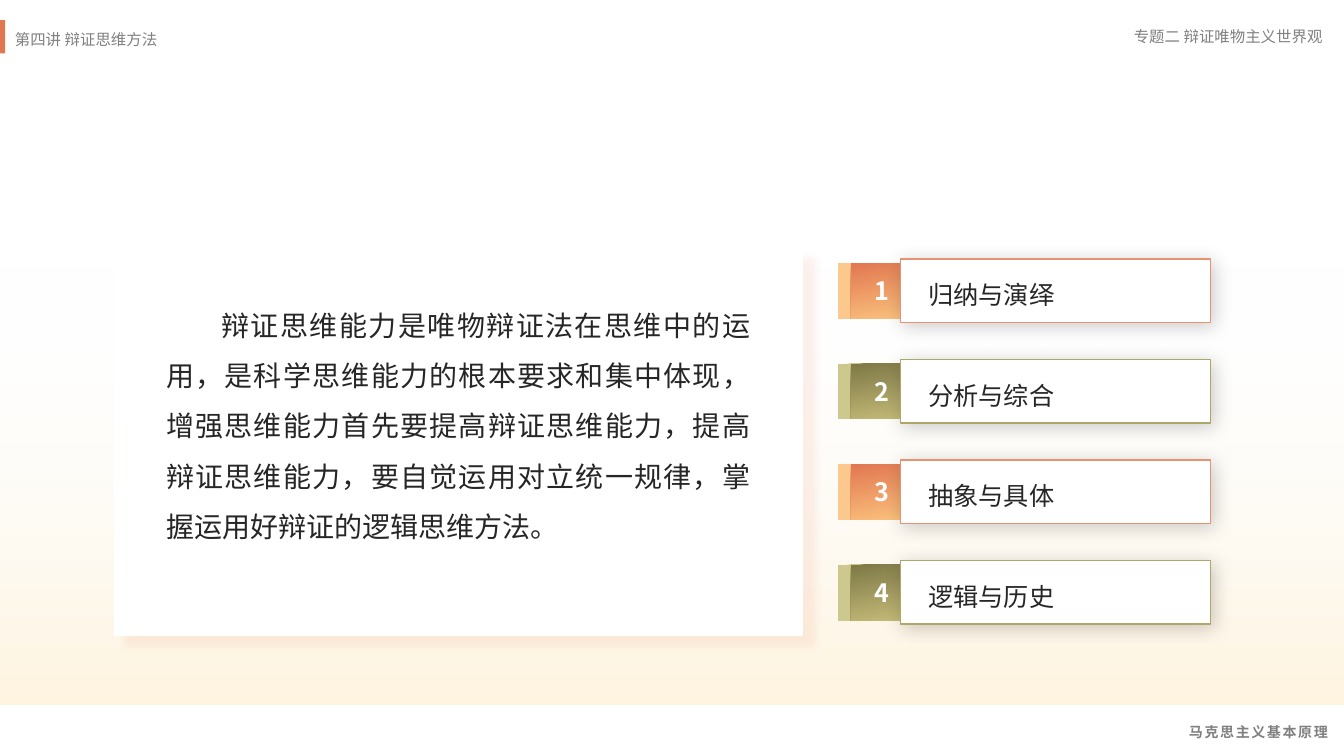
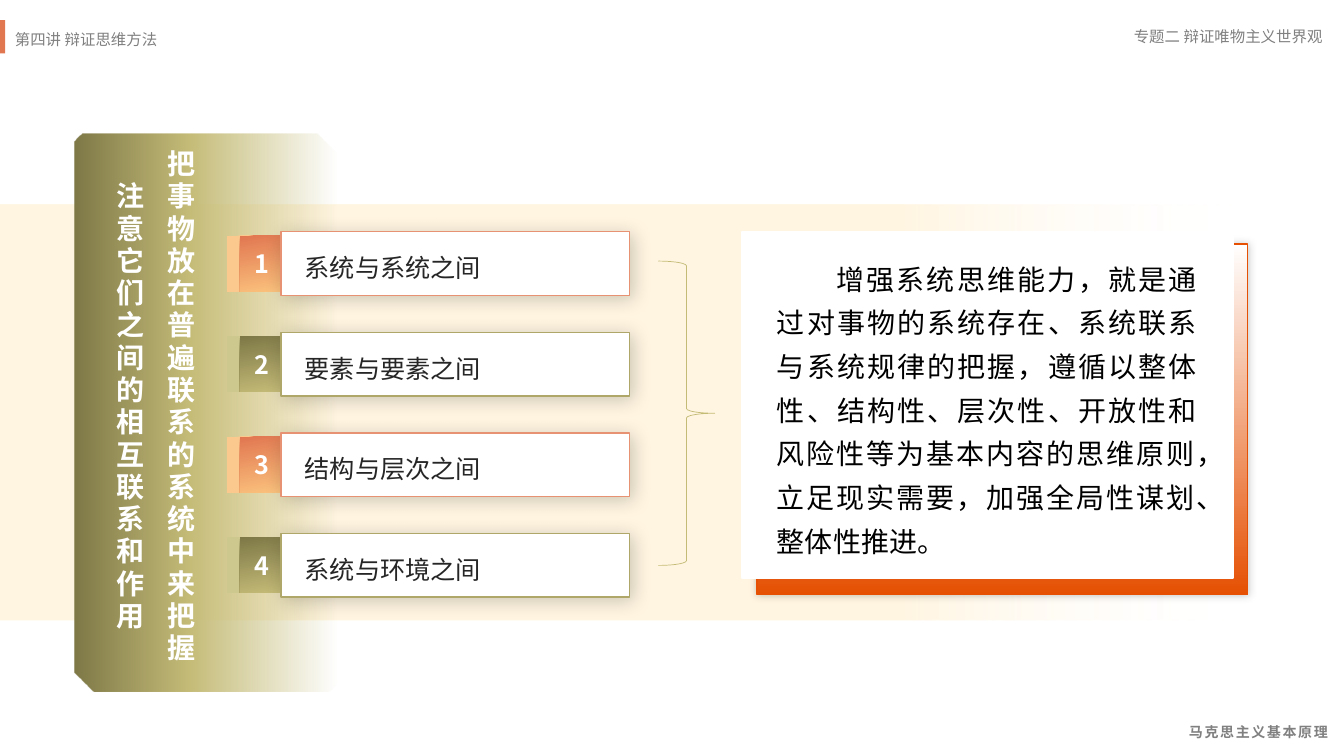
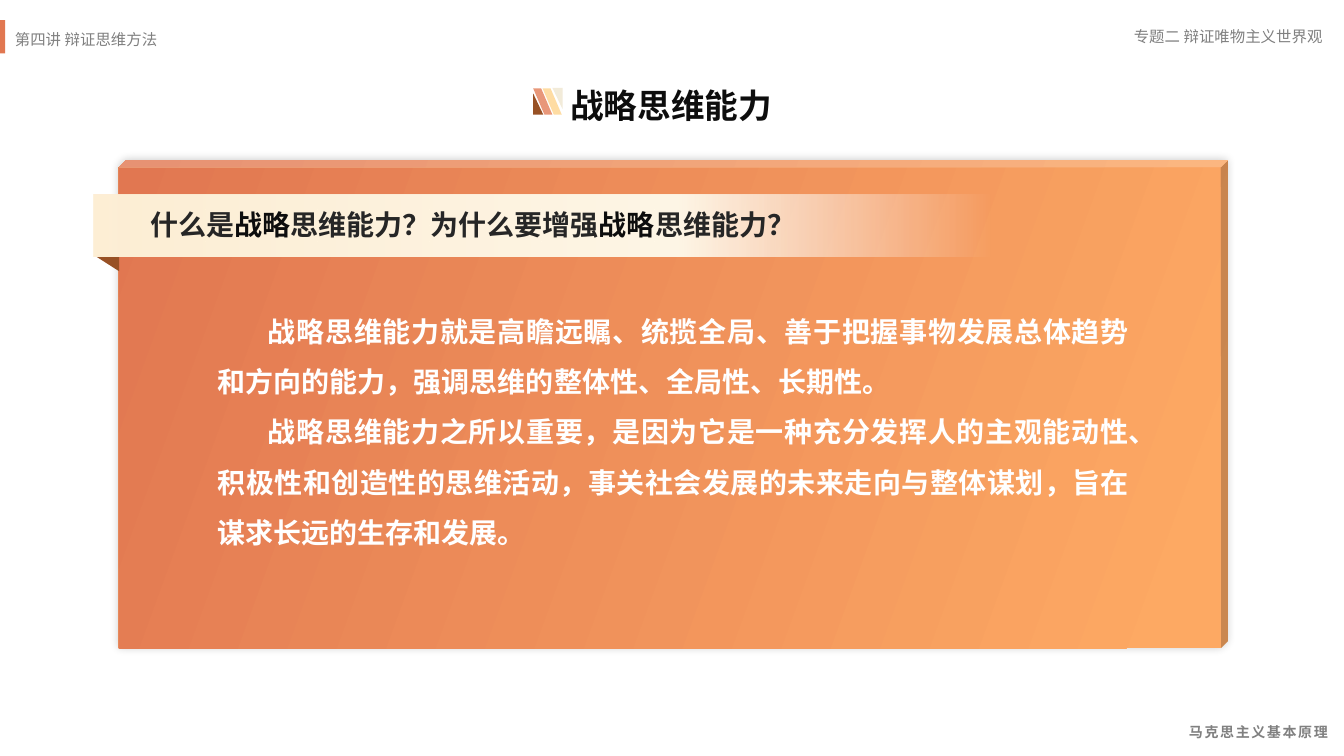
import pptx
import pptx.util
import pptx.dml.color
import pptx.enum.shapes
import pptx.enum.text
import pptx.oxml.ns
from lxml import etree

Pt = pptx.util.Pt
qn = pptx.oxml.ns.qn
KIND = pptx.enum.shapes.MSO_SHAPE
ALIGN = pptx.enum.text.PP_ALIGN
FONT = "Noto Sans CJK SC"
HUES = {
    "white": "FFFFFF", "black": "000000", "ink": "262626", "dark": "0D0D0D",
    "gray": "808080", "coral": "E17751", "gold": "FBC27D", "peach": "FBC88D",
    "rose": "E79273", "olive": "7E7847", "khaki": "C5BC78", "moss": "AFA769",
    "sage": "CDC88D", "brace": "C4BB77", "cream": "FFF5E1", "flame": "E55003",
    "amber": "FDA963", "sand": "FEEFD5", "ivory": "FFF7E7", "brown": "985125",
    "honey": "FEDCA3", "blush": "E89779", "bone": "F2EBD9",
}
# gradient start, gradient end, tab edge, card line
TONES = [("coral", "gold", "peach", "rose"), ("olive", "khaki", "sage", "moss")]


def rgb(name):
    return pptx.dml.color.RGBColor.from_string(HUES[name])


def tint(parent, name, alpha=100):
    """Add a colour element, with its opacity in percent."""
    node = etree.SubElement(parent, qn("a:srgbClr"), val=HUES[name])
    if alpha < 100:
        etree.SubElement(node, qn("a:alpha"), val=str(alpha * 1000))


class Deck:
    def __init__(self):
        self.show = pptx.Presentation()
        self.show.slide_width = Pt(960)
        self.show.slide_height = Pt(540)
        self.slide = None

    def start(self):
        """Open a slide with the shared header and footer."""
        self.slide = self.show.slides.add_slide(self.show.slide_layouts[6])
        self.text(769, 506.9, 186.5, 23, ["马克思主义基本原理"], 10, "gray",
                  bold=True, align=ALIGN.RIGHT, lead=1.5, track=1.2)
        self.text(715, 15.8, 236.9, 20.9, ["专题二 辩证唯物主义世界观"], 11, "gray",
                  align=ALIGN.RIGHT)
        self.text(3.6, 15.1, 563.8, 21.6, ["第四讲 辩证思维方法"], 11, "gray", lead=1.2)
        self.shape(KIND.RECTANGLE, 0, 14.4, 3.6, 23.8, "coral")

    def shape(self, kind, x, y, w, h, fill=None, line=None, width=1,
              shade=None, adjust=(), turn=0, flip=False):
        """Draw a preset; fill is a colour name or (angle, stops)."""
        item = self.slide.shapes.add_shape(kind, Pt(x), Pt(y), Pt(w), Pt(h))
        item.rotation = turn
        for spot, value in enumerate(adjust):
            item.adjustments[spot] = value
        props = item._element.spPr
        if flip:
            props.find(qn("a:xfrm")).set("flipH", "1")
        if fill is None:
            item.fill.background()
        elif isinstance(fill, str):
            item.fill.solid()
            item.fill.fore_color.rgb = rgb(fill)
        else:
            item.fill.gradient()
            self.blend(props.find(qn("a:gradFill")), *fill)
        if line:
            item.line.color.rgb = rgb(line)
            item.line.width = Pt(width)
        else:
            item.line.fill.background()
        item.shadow.inherit = False
        if shade:
            self.shade(props.find(qn("a:effectLst")), *shade)
        return item

    def blend(self, node, angle, stops):
        """Fill a gradient element with (place, colour, opacity) stops."""
        node.clear()
        node.set("rotWithShape", "1")
        row = etree.SubElement(node, qn("a:gsLst"))
        for place, *hue in stops:
            tint(etree.SubElement(row, qn("a:gs"), pos=str(place * 1000)), *hue)
        etree.SubElement(node, qn("a:lin"), ang=str(angle * 60000), scaled="0")

    def shade(self, node, name, alpha, blur, dist, angle):
        """Add an outer shadow to an effect list."""
        cast = etree.SubElement(
            node, qn("a:outerShdw"), blurRad=str(Pt(blur)), dist=str(Pt(dist)),
            dir=str(angle * 60000), algn="ctr", rotWithShape="0")
        tint(cast, name, alpha)

    def text(self, x, y, w, h, lines, size, color, upright=False, **look):
        box = self.slide.shapes.add_textbox(Pt(x), Pt(y), Pt(w), Pt(h))
        frame = box.text_frame
        frame.word_wrap = True
        if upright:
            frame._txBody.bodyPr.set("vert", "eaVert")
        self.fill(frame, lines, size, color, **look)

    def fill(self, frame, lines, size, color, bold=False, align=ALIGN.LEFT,
             lead=1.0, indent=0, track=0):
        """Set and format one paragraph per line."""
        frame.text = "\n".join(lines)
        for para in frame.paragraphs:
            para.alignment = align
            para.line_spacing = lead
            if indent:
                para._p.get_or_add_pPr().set("indent", str(Pt(indent)))
            for run in para.runs:
                self.style(run, size, color, bold, track)

    def style(self, run, size, color, bold=False, track=0):
        font = run.font
        font.size = Pt(size)
        font.bold = bold
        font.name = FONT
        font.color.rgb = rgb(color)
        props = run._r.get_or_add_rPr()
        etree.SubElement(props, qn("a:ea"), typeface=FONT)
        if track:
            props.set("spc", str(round(track * 100)))

    def cards(self, x, y, w, tab, lap, inset, labels):
        """Stack numbered cards; each tab is tucked lap points under its card."""
        for step, label in enumerate(labels):
            top = y + step * 71.8
            first, last, edge, line = TONES[step % 2]
            mark = self.shape(KIND.RECTANGLE, x - tab + lap, top + 2.9, tab, 39.6,
                              (80, [(0, first), (100, last)]),
                              shade=(edge, 100, 0, 9, 180))
            frame = mark.text_frame
            frame.margin_left = frame.margin_right = 0
            frame.vertical_anchor = pptx.enum.text.MSO_ANCHOR.MIDDLE
            self.fill(frame, [str(step + 1)], 18, "white", bold=True,
                      align=ALIGN.CENTER)
            self.shape(KIND.RECTANGLE, x, top, w, 45.4, "white", line,
                       shade=("black", 20, 14, 3, 45))
            self.text(x + inset, top + 7, w - inset, 31, [label], 18, "ink", lead=1.2)

    def title(self, x, y, words):
        """Put a heading behind a small striped badge."""
        self.text(x + 19.4, y - 6.3, 178.6, 36, [words], 24, "dark", bold=True)
        for shift, hue in ((6.7, "honey"), (0, "blush")):
            self.shape(KIND.PARALLELOGRAM, x + shift, y, 13.7, 18.7, hue,
                       adjust=[0.585], flip=True)
        self.shape(KIND.RIGHT_TRIANGLE, x + 13.7, y - 0.4, 7.2, 15.1, "bone", turn=180)
        self.shape(KIND.RIGHT_TRIANGLE, x, y + 3.6, 7.2, 15.1, "brown")


def logic(deck):
    deck.start()
    deck.shape(KIND.RECTANGLE, 0, 189.4, 960, 313.9,
               (90, [(0, "white", 0), (100, "cream")]))
    deck.shape(KIND.RECTANGLE, 82.1, 177.1, 491, 276.5, "white", "white", 1.5,
               shade=("coral", 10, 5, 11, 45))
    deck.cards(643, 185, 221.8, 43.9, 8.6, 13,
               ["归纳与演绎", "分析与综合", "抽象与具体", "逻辑与历史"])
    deck.text(111.6, 204.5, 431.3, 188.6, [
        "辩证思维能力是唯物辩证法在思维中的运用，是科学思维能力的根本要求和集中体现，"
        "增强思维能力首先要提高辩证思维能力，提高辩证思维能力，要自觉运用对立统一规律，"
        "掌握运用好辩证的逻辑思维方法。"],
        20, "ink", align=ALIGN.JUSTIFY, lead=1.5, indent=39.6)


def system(deck):
    deck.start()
    deck.shape(KIND.RECTANGLE, 0, 146.2, 891.4, 297.4,
               (180, [(0, "white", 0), (28, "cream")]))
    deck.shape(KIND.SNIP_2_DIAG_RECTANGLE, 53.3, 95.8, 187.2, 398.2,
               (0, [(0, "olive"), (44, "khaki"), (100, "khaki", 0)]),
               adjust=[0.03, 0.075])
    deck.cards(200.6, 165.6, 249.1, 31.7, 2.4, 10,
               ["系统与系统之间", "要素与要素之间", "结构与层次之间", "系统与环境之间"])
    deck.shape(KIND.RIGHT_BRACE, 470.2, 186.5, 40.3, 217.4, None, "brace", 0.5)
    deck.shape(KIND.RECTANGLE, 540.7, 174.2, 350.6, 250.6,
               (270, [(0, "flame"), (100, "white")]), "flame", 1,
               shade=("black", 20, 6, 0, 315))
    deck.shape(KIND.RECTANGLE, 529.9, 165.6, 350.6, 247, "white", "white", 1.5)
    deck.text(547.9, 176.4, 313.9, 224.6, [
        "增强系统思维能力，就是通过对事物的系统存在、系统联系与系统规律的把握，"
        "遵循以整体性、结构性、层次性、开放性和风险性等为基本内容的思维原则，"
        "立足现实需要，加强全局性谋划、整体性推进。"],
        20, "black", align=ALIGN.JUSTIFY, lead=1.3, indent=42.5)
    deck.text(69.1, 100.1, 87.1, 389.5,
              ["把事物放在普遍联系的系统中来把握", "注意它们之间的相互联系和作用"],
              20, "white", upright=True, bold=True, align=ALIGN.CENTER,
              lead=1.5, track=3)


def plan(deck):
    deck.start()
    deck.shape(KIND.CUBE, 85, 114.5, 792, 348.5,
               (200, [(4, "amber"), (100, "coral")]), adjust=[0.014],
               shade=("black", 20, 6, 0, 315))
    deck.text(148.3, 208.8, 665.3, 185, [
        "战略思维能力就是高瞻远瞩、统揽全局、善于把握事物发展总体趋势和方向的能力，"
        "强调思维的整体性、全局性、长期性。",
        "战略思维能力之所以重要，是因为它是一种充分发挥人的主观能动性、积极性和创造性的"
        "思维活动，事关社会发展的未来走向与整体谋划，旨在谋求长远的生存和发展。"],
        20, "white", bold=True, align=ALIGN.JUSTIFY, lead=1.5, indent=36)
    deck.title(380.9, 63.2, "战略思维能力")
    deck.shape(KIND.RIGHT_TRIANGLE, 67, 182.2, 18, 11.5, "brown", turn=180)
    deck.shape(KIND.RECTANGLE, 67, 139, 640.8, 43.9,
               (0, [(0, "sand"), (65, "ivory"), (100, "white", 0)]))
    box = deck.slide.shapes.add_textbox(Pt(100.1), Pt(144.7), Pt(477.4), Pt(31.7))
    box.text_frame.word_wrap = True
    para = box.text_frame.paragraphs[0]
    parts = ["什么是", "战略", "思维能力？为什么要增强", "战略", "思维能力？"]
    for part in parts:
        run = para.add_run()
        run.text = part
        deck.style(run, 20, "dark" if part == "战略" else "ink", bold=True)


def main():
    deck = Deck()
    for build in (logic, system, plan):
        build(deck)
    deck.show.save("out.pptx")


if __name__ == "__main__":
    main()
